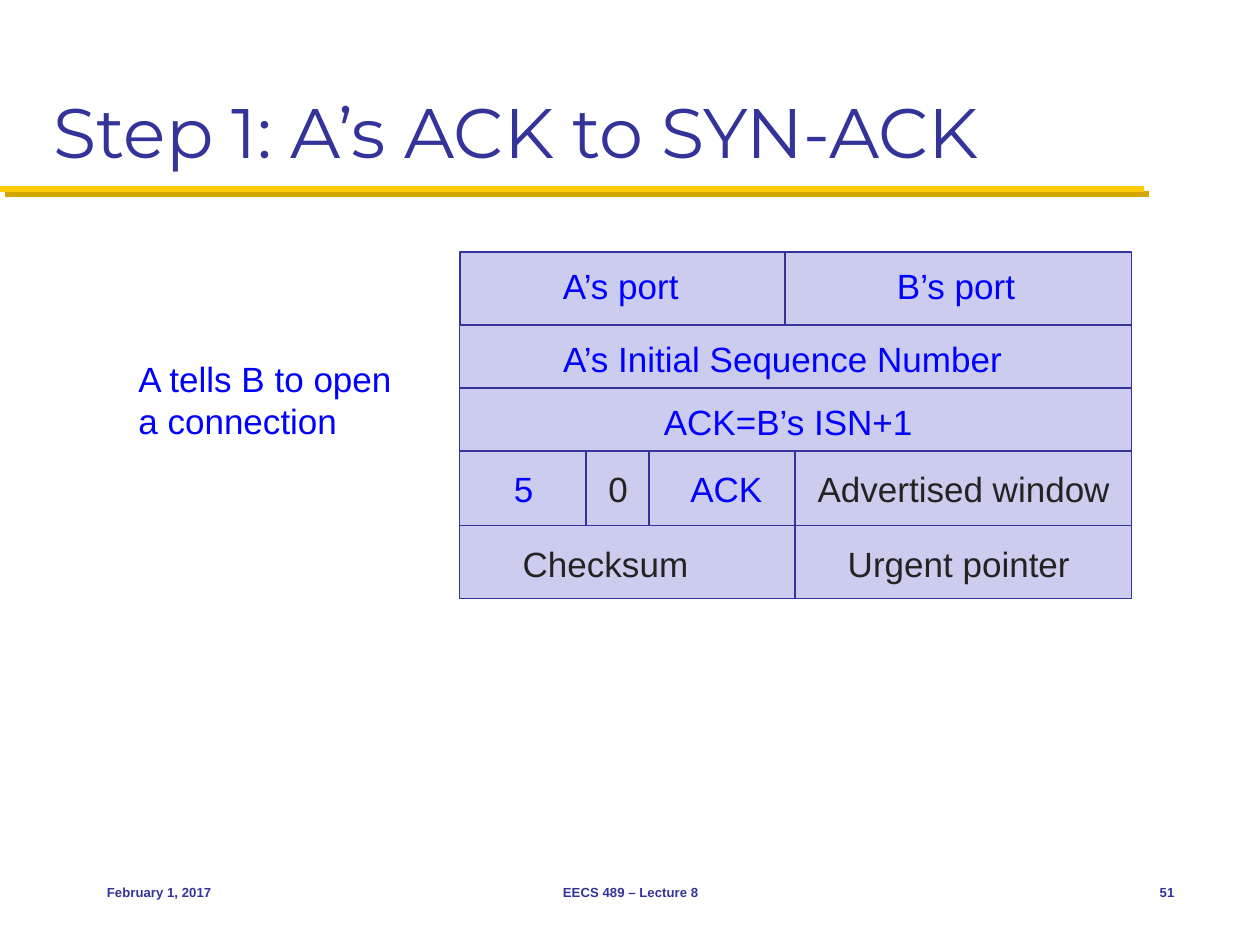
import itertools

import pptx
import pptx.dml.color
import pptx.enum.shapes
import pptx.enum.text
import pptx.oxml.ns
import pptx.util
from lxml import etree
from pptx.util import Inches

COLORS = {
    "navy": "333399",
    "gold": "FFCB05",
    "gold_shadow": "D3A600",
    "field": "CCCCEE",
    "set": "0000FF",
    "unset": "232323",
}
ALIGN = pptx.enum.text.PP_ALIGN
ANCHOR = pptx.enum.text.MSO_ANCHOR
RECTANGLE = pptx.enum.shapes.MSO_SHAPE.RECTANGLE
STRAIGHT = pptx.enum.shapes.MSO_CONNECTOR.STRAIGHT

LEFT, RIGHT = 3.65, 8.98
ROW_EDGES = [2, 2.58, 3.08, 3.58, 4.17, 4.75]
ROW_SPLITS = [[6.23], [], [], [6.31], [6.31]]
FLAG_DIVIDERS = [4.65, 5.15]

# text, left, top, width, color
FIELD_LABELS = [
    ("A’s port", 4.37, 2.05, 1.13, "set"),
    ("B’s port", 7.02, 2.05, 1.15, "set"),
    ("A’s Initial Sequence Number", 4.37, 2.63, 3.72, "set"),
    ("ACK=B’s ISN+1", 5.17, 3.13, 2.17, "set"),
    ("0", 4.73, 3.66, 0.36, "unset"),
    ("ACK", 5.38, 3.66, 0.78, "set"),
    ("Advertised window", 6.39, 3.66, 2.54, "unset"),
    ("Checksum", 4.05, 4.26, 1.51, "unset"),
    ("Urgent pointer", 6.63, 4.26, 1.96, "unset"),
]
FOOTERS = [
    ("February 1, 2017", 0.75, 2.08, ALIGN.LEFT),
    ("EECS 489 – Lecture 8", 3.42, 3.17, ALIGN.CENTER),
    ("51", 8.75, 0.67, ALIGN.RIGHT),
]


def rgb(name):
    return pptx.dml.color.RGBColor.from_string(COLORS[name])


def add_rectangle(page, left, top, width, height, outlined=True):
    box = page.shapes.add_shape(
        RECTANGLE, Inches(left), Inches(top), Inches(width), Inches(height))
    box.shadow.inherit = False
    box.fill.solid()
    box.fill.fore_color.rgb = rgb("field")
    if outlined:
        box.line.color.rgb = rgb("navy")
        box.line.width = pptx.util.Pt(0.75)
    else:
        box.line.fill.background()
    return box


def add_text(page, text, left, top, width, height, size=20, font="Arial",
             color="set", bold=False, align=ALIGN.LEFT, anchor=ANCHOR.TOP,
             wrap=True, filled=False):
    if filled:
        box = add_rectangle(page, left, top, width, height, outlined=False)
    else:
        box = page.shapes.add_textbox(
            Inches(left), Inches(top), Inches(width), Inches(height))
    frame = box.text_frame
    frame.word_wrap = wrap
    frame.vertical_anchor = anchor
    para = frame.paragraphs[0]
    para.alignment = align
    span = para.add_run()
    span.text = text
    span.font.size = pptx.util.Pt(size)
    span.font.name = font
    span.font.bold = bold
    span.font.color.rgb = rgb(color)


def add_line(page, start, end, color="navy", width=0.75):
    """Draw a straight line and return its effect list, which is empty."""
    line = page.shapes.add_connector(
        STRAIGHT, *(Inches(value) for value in (*start, *end)))
    line.line.color.rgb = rgb(color)
    line.line.width = pptx.util.Pt(width)
    return etree.SubElement(
        line._element.spPr, pptx.oxml.ns.qn("a:effectLst"))


def add_title(page, text):
    effects = add_line(page, (0, 1.5), (9.08, 1.5), color="gold", width=3.5)
    shadow = etree.SubElement(
        effects, pptx.oxml.ns.qn("a:outerShdw"), blurRad="0",
        dist=str(pptx.util.Pt(4.2)), dir=str(45 * 60000),
        algn="ctr", rotWithShape="0")
    etree.SubElement(shadow, pptx.oxml.ns.qn("a:srgbClr"),
                     val=COLORS["gold_shadow"])
    add_text(page, text, 0.33, 0.17, 9.33, 1.25, size=40, font="Montserrat",
             color="navy", anchor=ANCHOR.BOTTOM)


def add_segment_header(page):
    """Draw the grid of header fields, then the labels on top of it."""
    for (top, bottom), splits in zip(itertools.pairwise(ROW_EDGES), ROW_SPLITS):
        for left, right in itertools.pairwise([LEFT, *splits, RIGHT]):
            add_rectangle(page, left, top, right - left, bottom - top)
    for x in FLAG_DIVIDERS:
        add_line(page, (x, ROW_EDGES[3]), (x, ROW_EDGES[4]))
    add_text(page, "5", 3.57, 3.66, 1.17, 0.43, align=ALIGN.CENTER)
    for text, left, top, width, color in FIELD_LABELS:
        add_text(page, text, left, top, width, 0.44, color=color,
                 wrap=False, filled=True)


def add_footers(page):
    for text, left, width, align in FOOTERS:
        add_text(page, text, left, 6.83, width, 0.5, size=7.5, color="navy",
                 bold=True, align=align, anchor=ANCHOR.MIDDLE, wrap=False)


def main():
    deck = pptx.Presentation()
    deck.slide_width, deck.slide_height = Inches(10), Inches(7.5)
    page = deck.slides.add_slide(deck.slide_layouts[6])
    add_title(page, "Step 1: A’s ACK to SYN-ACK")
    add_segment_header(page)
    add_text(page, "A tells B to open a connection", 1, 2.79, 2.33, 0.77)
    add_footers(page)
    deck.save("out.pptx")


if __name__ == "__main__":
    main()
